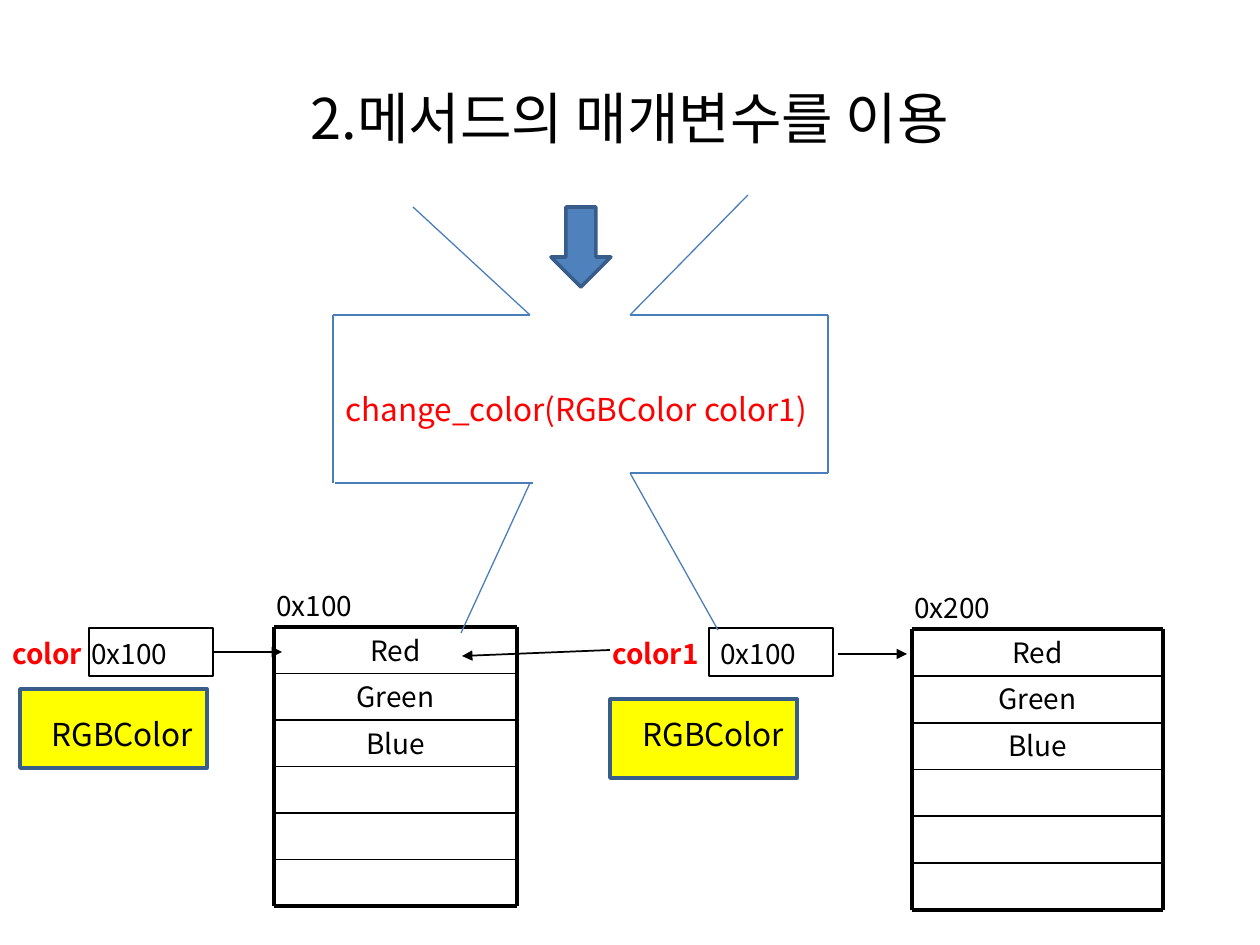
from dataclasses import dataclass

from lxml import etree
from pptx import Presentation
from pptx import util as u
from pptx.dml.color import RGBColor
from pptx.enum import shapes, text
from pptx.oxml.ns import qn

EMU_PER_PX = 914400 / 126


def px(value):
    return u.Emu(round(value * EMU_PER_PX))


@dataclass(frozen=True)
class Theme:
    font: str = "Noto Sans CJK KR"
    black: str = "000000"
    red: str = "FF0000"
    yellow: str = "FFFF00"
    blue: str = "4F81BD"
    callout: str = "4A7EBB"
    border: str = "385D8A"
    title: int = 32
    code: int = 18
    label: int = 16
    thick: float = 2.25
    outline: float = 2
    thin: float = 1
    hairline: float = 0.75


class Board:
    """Draws the elements of the memory diagram on one slide."""

    def __init__(self, slide, theme):
        self.slide = slide
        self.theme = theme

    def style(self, paragraph, size, color, bold=False):
        for run in paragraph.runs:
            run.font.size = u.Pt(size)
            run.font.bold = bold
            run.font.color.rgb = RGBColor.from_string(color)
            run.font.name = self.theme.font
            etree.SubElement(run.font._element, qn("a:ea"), typeface=self.theme.font)

    def title(self, words, left, top, width, height):
        heading = self.slide.shapes.title
        heading.left, heading.top = px(left), px(top)
        heading.width, heading.height = px(width), px(height)
        heading.text_frame.text = words
        heading.text_frame.vertical_anchor = text.MSO_ANCHOR.MIDDLE
        paragraph = heading.text_frame.paragraphs[0]
        paragraph.alignment = text.PP_ALIGN.CENTER
        self.style(paragraph, self.theme.title, self.theme.black)

    def textbox(self, words, left, top, width, height, size, color, bold=False):
        box = self.slide.shapes.add_textbox(px(left), px(top), px(width), px(height))
        frame = box.text_frame
        frame.text = words
        frame.word_wrap = True
        self.style(frame.paragraphs[0], size, color, bold)
        return frame

    def label(self, words, left, top, width, size=None, color=None, bold=False, indent=0):
        size = size or self.theme.label
        height = 50 if size == self.theme.code else 46
        frame = self.textbox(words, left, top, width, height, size,
                             color or self.theme.black, bold)
        frame.auto_size = text.MSO_AUTO_SIZE.SHAPE_TO_FIT_TEXT
        frame.margin_left += px(indent)

    def shape(self, kind, left, top, width, height, line, weight, fill=None):
        figure = self.slide.shapes.add_shape(kind, px(left), px(top), px(width), px(height))
        figure.shadow.inherit = False
        figure.line.color.rgb = RGBColor.from_string(line)
        figure.line.width = u.Pt(weight)
        if fill:
            figure.fill.solid()
            figure.fill.fore_color.rgb = RGBColor.from_string(fill)
        else:
            figure.fill.background()
        return figure

    def line(self, start, end, color, weight, arrow=False):
        link = self.slide.shapes.add_connector(
            shapes.MSO_CONNECTOR.STRAIGHT, *map(px, start), *map(px, end))
        link.line.color.rgb = RGBColor.from_string(color)
        link.line.width = u.Pt(weight)
        if arrow:
            etree.SubElement(link.line._get_or_add_ln(), qn("a:tailEnd"), type="triangle")
        etree.SubElement(link._element.spPr, qn("a:effectLst"))
        return link

    def arrow(self, start, end):
        return self.line(start, end, self.theme.black, self.theme.thin, arrow=True)

    def memory_block(self, address, left, top, width, height, fields, rows=6):
        right, bottom = left + width, top + height
        levels = [top + height * row / rows for row in range(rows + 1)]
        for field, level in zip(fields, levels):
            frame = self.textbox(field, left, level, width, height / rows,
                                 self.theme.label, self.theme.black)
            frame.paragraphs[0].alignment = text.PP_ALIGN.CENTER
            frame.paragraphs[0].space_before = u.Pt(4)
        for level in levels:
            weight = self.theme.thick if level in (top, bottom) else self.theme.thin
            self.line((left, level), (right, level), self.theme.black, weight)
        for side in (left, right):
            self.line((side, top), (side, bottom), self.theme.black, self.theme.thick)
        self.label(address, left - 10, top - 45, 126)

    def variable(self, name, name_left, name_width, cell_left, value_left):
        cell = self.shape(shapes.MSO_SHAPE.RECTANGLE, cell_left, 628, 124, 48,
                          self.theme.black, self.theme.hairline)
        self.label(name, name_left, 630, name_width, color=self.theme.red, bold=True)
        self.label("0x100", value_left, 630, 124)
        return cell

    def type_tag(self, words, left, top, text_left):
        self.shape(shapes.MSO_SHAPE.RECTANGLE, left, top, 187, 79,
                   self.theme.border, self.theme.outline, self.theme.yellow)
        self.label(words, text_left, 709, 170, size=self.theme.code)


def main():
    deck = Presentation()
    deck.slide_width, deck.slide_height = px(1260), px(945)
    theme = Theme()
    board = Board(deck.slides.add_slide(deck.slide_layouts[5]), theme)

    board.title("2.메서드의 매개변수를 이용", 63, 38, 1134, 158)

    # Objects in memory
    fields = ["Red", "Green", "Blue"]
    board.memory_block("0x100", 274, 627, 243, 279, fields)
    board.memory_block("0x200", 912, 629, 251, 281, fields)

    # Variables and their references
    color_cell = board.variable("color", 0, 141, 89, 79)
    board.variable("color1", 600, 131, 709, 708)
    color_reference = board.arrow((213, 652), (282, 652))
    color_reference.begin_connect(color_cell, 3)
    board.arrow((838, 654), (907, 654))
    board.arrow((610, 650), (462, 656))

    # Method outline: funnel, body and legs
    outline = [
        ((413, 207), (530, 315)),
        ((748, 195), (630, 315)),
        ((333, 315), (530, 315)),
        ((630, 315), (828, 315)),
        ((333, 315), (333, 483)),
        ((828, 315), (828, 473)),
        ((335, 483), (533, 483)),
        ((630, 473), (828, 473)),
        ((530, 483), (461, 633)),
        ((630, 473), (718, 630)),
    ]
    for start, end in outline:
        board.line(start, end, theme.callout, theme.hairline)
    board.shape(shapes.MSO_SHAPE.DOWN_ARROW, 551, 207, 60, 80,
                theme.border, theme.outline, theme.blue)
    board.label("change_color(RGBColor color1)", 305, 384, 551,
                size=theme.code, color=theme.red, indent=28)

    # Variable types
    board.type_tag("RGBColor", 20, 689, 39)
    board.type_tag("RGBColor", 610, 699, 630)

    deck.save("out.pptx")


if __name__ == "__main__":
    main()
